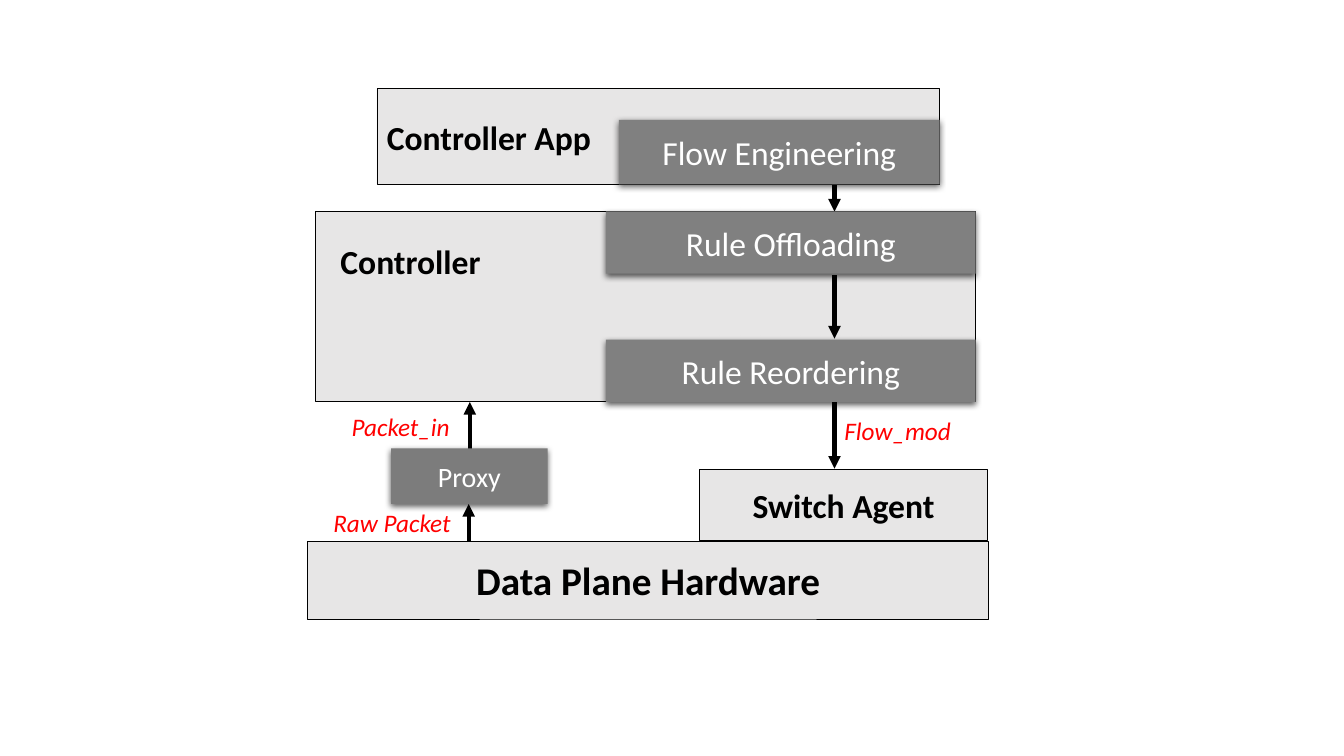
from typing import NamedTuple

from lxml.etree import SubElement
from pptx import Presentation
from pptx.dml.color import RGBColor
from pptx.enum.shapes import MSO_CONNECTOR, MSO_SHAPE
from pptx.enum.text import MSO_ANCHOR, PP_ALIGN
from pptx.oxml.ns import qn
from pptx.util import Cm, Pt

COLOURS = {"layer": "E7E6E6", "module": "808080", "proxy": "7C7C7C",
           "ink": "000000", "light": "FFFFFF", "message": "FF0000"}
LAYER_FONT = {"bold": True}
MESSAGE_FONT = {"italic": True}
FLOW_X = 21.03


class Block(NamedTuple):
    """A rectangle of the stack, in centimetres."""
    text: str
    left: float
    top: float
    width: float
    height: float
    size: int = 24
    fill: str = "module"
    align: PP_ALIGN = PP_ALIGN.CENTER


class Label(NamedTuple):
    """A free text, in centimetres."""
    text: str
    left: float
    top: float
    width: float
    height: float = 1.02
    size: int = 18
    colour: str = "message"
    font: dict = MESSAGE_FONT


class Arrow(NamedTuple):
    """A vertical arrow from start to end, in centimetres."""
    x: float
    start: float
    end: float


ARROWS_BEHIND = [
    Arrow(11.84, 11.51, 10.13),
    Arrow(11.81, 14.2, 12.7),
    Arrow(FLOW_X, 8.26, 11.81),
    Arrow(FLOW_X, 3.66, 5.33),
]
RULE_ARROW = Arrow(FLOW_X, 6.93, 8.53)
LAYERS = [
    Block("", 7.95, 5.33, 16.64, 4.78, fill="layer"),
    Block("Data Plane Hardware", 7.75, 13.64, 17.17, 1.96, 28, "layer"),
    Block("Switch Agent", 17.63, 11.84, 7.26, 1.78, fill="layer"),
    Block("Controller App", 9.5, 2.24, 14.17, 2.41, fill="layer", align=PP_ALIGN.LEFT),
]
MODULES = [
    Block("Rule Offloading", 15.27, 5.33, 9.32, 1.57),
    Block("Rule Reordering", 15.27, 8.56, 9.32, 1.57),
    Block("Proxy", 9.86, 11.3, 3.94, 1.4, 20, "proxy"),
    Block("Flow Engineering", 15.6, 3.02, 8.08, 1.63),
]
LABELS = [
    Label("Packet_in", 8.61, 10.24, 3.78),
    Label("Raw Packet", 8.15, 12.65, 6.78),
    Label("Flow_mod", FLOW_X, 10.34, 3.58),
    Label("Controller", 8.33, 5.94, 4.09, 1.27, 24, "ink", LAYER_FONT),
]


def colour(name: str) -> RGBColor:
    """Look up a colour by its role."""
    return RGBColor.from_string(COLOURS[name])


def write(para, text: str, size: int, ink: str, extra: dict) -> None:
    """Add one formatted run to a paragraph."""
    span = para.add_run()
    span.text = text
    span.font.color.rgb = colour(ink)
    for name, value in {"name": "Calibri", "size": Pt(size), **extra}.items():
        setattr(span.font, name, value)


def add_shadow(box) -> None:
    """Give a module its soft downward shadow."""
    effects = box._element.spPr.find(qn("a:effectLst"))
    shadow = SubElement(effects, qn("a:outerShdw"), blurRad=str(Pt(4.5)),
                        dist=str(Pt(1.5)), dir="5400000", rotWithShape="0")
    shade = SubElement(shadow, qn("a:srgbClr"), val=COLOURS["ink"])
    SubElement(shade, qn("a:alpha"), val="63000")


def draw_block(page, block: Block) -> None:
    """Draw an outlined layer or a shadowed module."""
    box = page.shapes.add_shape(MSO_SHAPE.RECTANGLE, *map(Cm, block[1:5]))
    box.shadow.inherit = False
    box.fill.solid()
    box.fill.fore_color.rgb = colour(block.fill)
    is_layer = block.fill == "layer"
    if is_layer:
        box.line.color.rgb = colour("ink")
        box.line.width = Pt(0.5)
    else:
        box.line.fill.background()
        add_shadow(box)
    if block.text:
        box.text_frame.vertical_anchor = MSO_ANCHOR.MIDDLE
        para = box.text_frame.paragraphs[0]
        para.alignment = block.align
        write(para, block.text, block.size, "ink" if is_layer else "light",
              LAYER_FONT if is_layer else {})


def draw_label(page, label: Label) -> None:
    """Draw a free text."""
    box = page.shapes.add_textbox(*map(Cm, label[1:5]))
    box.text_frame.word_wrap = True
    write(box.text_frame.paragraphs[0], label.text, label.size, label.colour, label.font)


def draw_arrow(page, arrow: Arrow) -> None:
    """Draw a vertical arrow with a triangular head."""
    line = page.shapes.add_connector(MSO_CONNECTOR.STRAIGHT, Cm(arrow.x), Cm(arrow.start),
                                     Cm(arrow.x), Cm(arrow.end))
    line.line.color.rgb = colour("ink")
    line.line.width = Pt(3)
    SubElement(line.line._get_or_add_ln(), qn("a:tailEnd"), type="triangle")
    SubElement(line._element.spPr, qn("a:effectLst"))


def main() -> None:
    """Build the deck from back to front."""
    deck = Presentation()
    deck.slide_width, deck.slide_height = Cm(33.87), Cm(19.05)
    page = deck.slides.add_slide(deck.slide_layouts[6])
    for arrow in ARROWS_BEHIND:
        draw_arrow(page, arrow)
    for block in LAYERS + MODULES:
        draw_block(page, block)
    draw_arrow(page, RULE_ARROW)
    for label in LABELS:
        draw_label(page, label)
    deck.save("out.pptx")


main()
